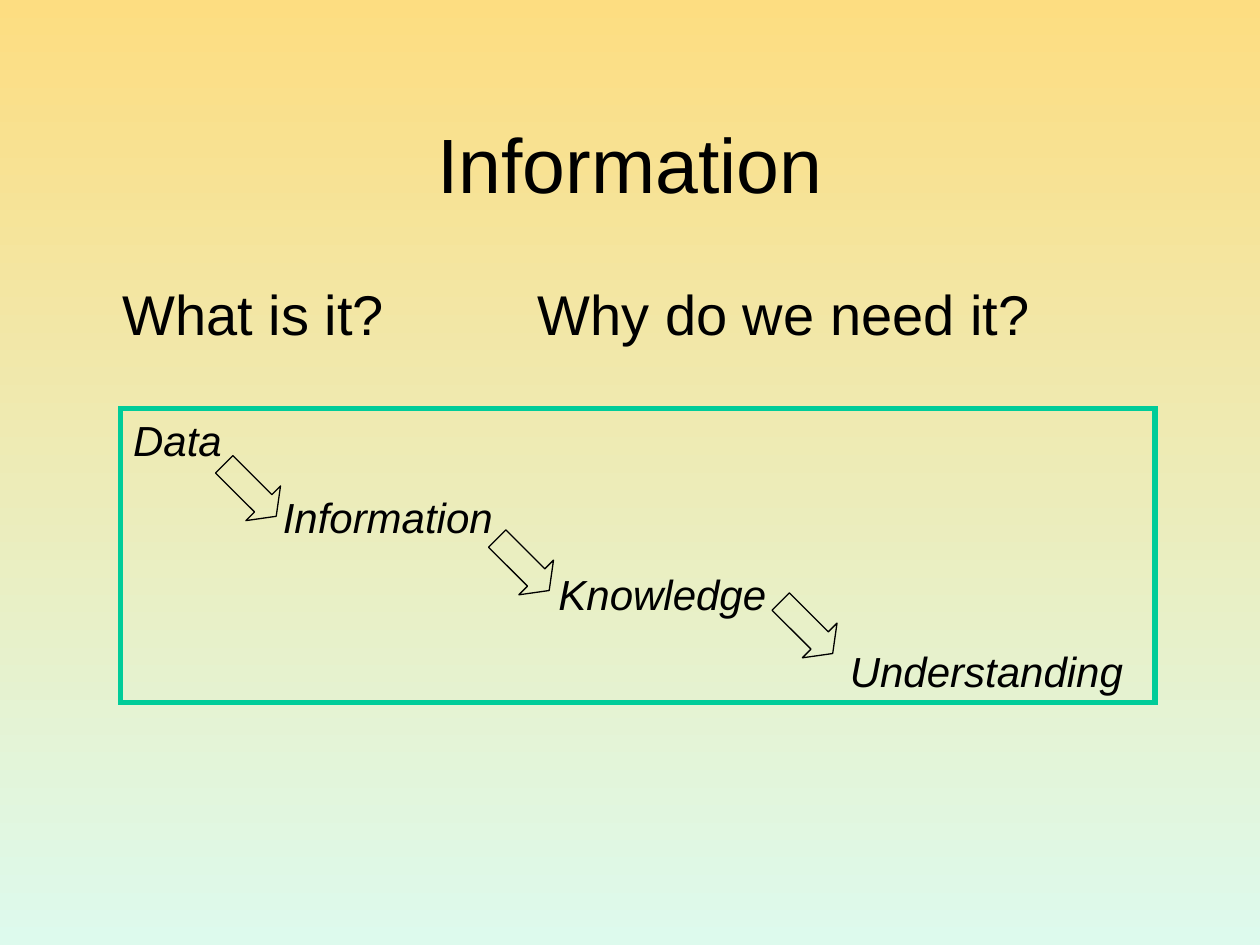
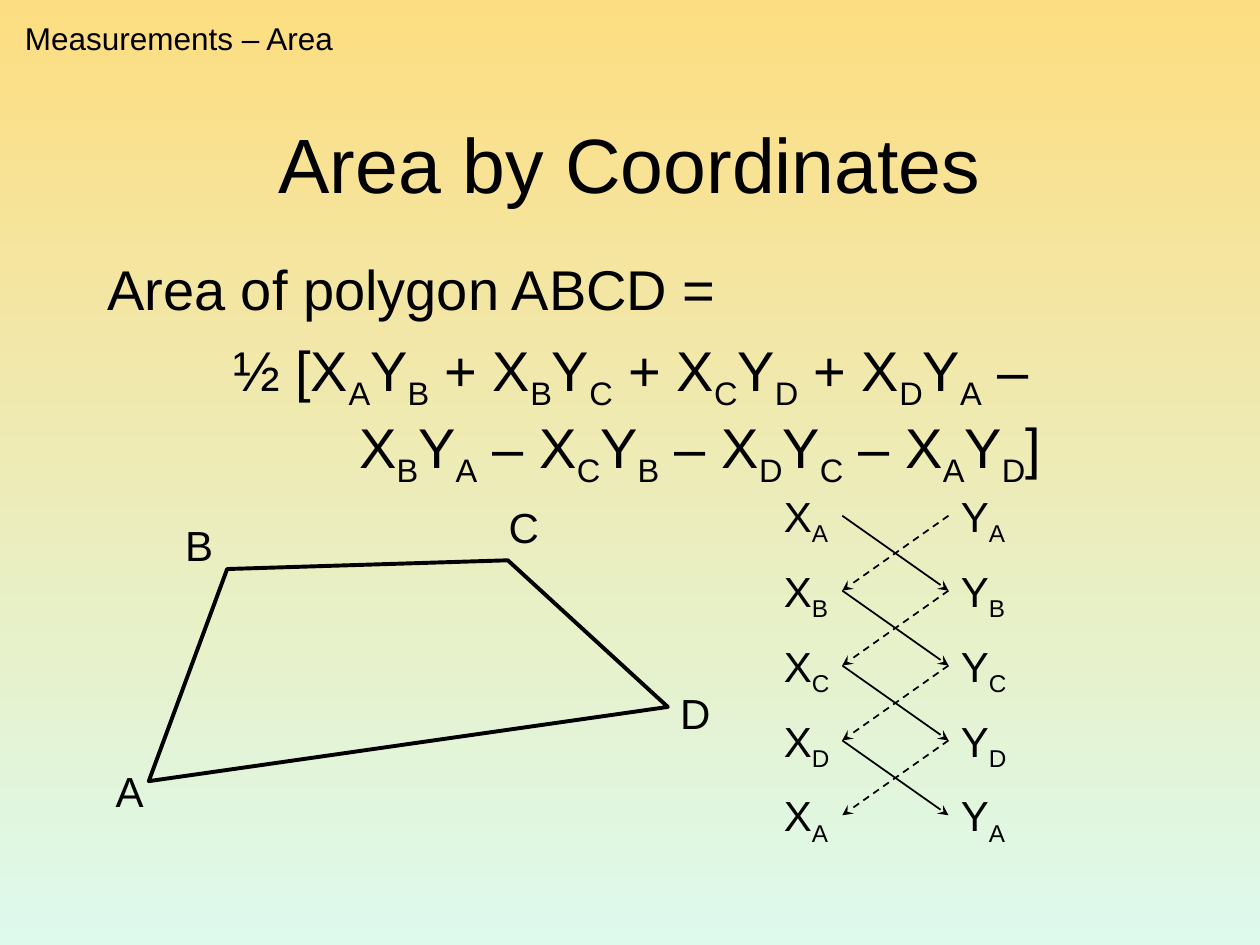
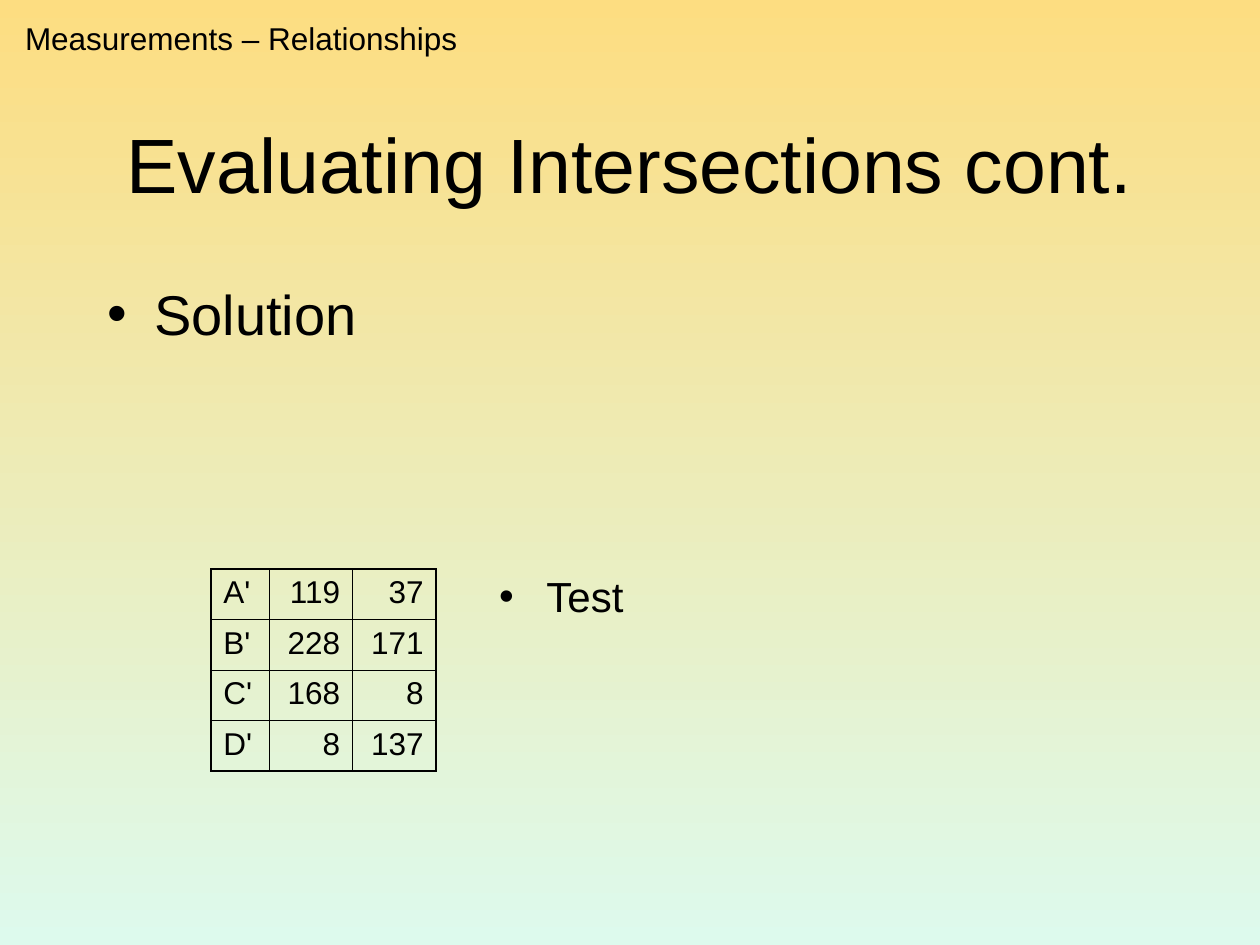
from pptx import Presentation
from pptx.dml.color import RGBColor
from pptx.enum.dml import MSO_LINE_DASH_STYLE as DASH
from pptx.enum.shapes import MSO_CONNECTOR, MSO_SHAPE
from pptx.enum.text import MSO_ANCHOR as ANCHOR, PP_ALIGN as ALIGN
from pptx.oxml.ns import qn
from pptx.util import Pt
from lxml.etree import SubElement

# Shared look
FONT, INK, GREEN = "Arial", "000000", "00CC99"
BACKGROUND = ("FDDD81", "DDFAED")
TITLE_BOX = (54, 48, 612, 90)
BODY_BOX = (54.2, 156, 612, 324)

# Slide 1 content
QUESTIONS = " What is it?\tWhy do we need it?"
QUESTION_TABS = [246]
STEPS = ["Data", "Information", "Knowledge", "Understanding"]
STEP_TABS = [85.5, 243, 409.5]
STEP_BOX = (69, 233.6, 591, 167.8)
STEP_ARROWS = [(129, 259.2), (285, 301.6), (447, 337.6)]

# Slide 2 content: an underscore lowers the letter after it
FORMULA = [
    ("Area of polygon ABCD =", 0, 0),
    ("½ [X_AY_B + X_BY_C + X_CY_D + X_DY_A –", 72, 8),
    ("X_BY_A – X_CY_B – X_DY_C – X_AY_D]", 144, 0),
]
CORNERS = [(85, 446.4), (129.8, 325.2), (290.2, 320.2), (381.6, 404)]
CORNER_LABELS = [("A", 59, 433.7, 30), ("B", 98.8, 293.3, 30),
                 ("C", 283.5, 283, 31.5), ("D", 381.6, 389.5, 31.5)]
POINTS = "ABCDA"
COLUMNS = {"X": 440.8, "Y": 542}
POINTS_TOP, POINT_STEP = 276.7, 42.8

# Slide 3 content
ROWS = [("A'", 119, 37), ("B'", 228, 171), ("C'", 168, 8), ("D'", 8, 137)]
COL_WIDTHS, ROW_HEIGHT = (33.4, 47.6, 47.8), 28.8
TABLE_AT = (120.5, 325.2)
OUTER, INNER = 1.08, 0.45


def rgb(value):
    return RGBColor.from_string(value)


def points(*values):
    return [Pt(v) for v in values]


def add_run(p, text, size, italic=False, low=False):
    r = p.add_run()
    r.text = text
    for name, value in dict(name=FONT, size=Pt(size), italic=italic).items():
        setattr(r.font, name, value)
    r.font.color.rgb = rgb(INK)
    if low:
        r._r.get_or_add_rPr().set("baseline", "-25000")


def write(p, text, size, italic=False, align=ALIGN.LEFT, before=0,
          margin=0, indent=0, bullet=False, tabs=()):
    """Fill a paragraph, lowering each letter that follows an underscore."""
    pPr = p._p.get_or_add_pPr()
    if not tabs:  # an explicit indent would reset the tab stops
        pPr.set("marL", str(Pt(margin)))
        pPr.set("indent", str(Pt(indent)))
    if bullet:
        SubElement(pPr, qn("a:buFont"), typeface=FONT)
        SubElement(pPr, qn("a:buChar"), char="•")
    else:
        SubElement(pPr, qn("a:buNone"))
    if tabs:
        tab_list = SubElement(pPr, qn("a:tabLst"))
        for pos in tabs:
            SubElement(tab_list, qn("a:tab"), pos=str(Pt(pos)), algn="l")
    p.alignment, p.space_before = align, Pt(before)
    first, *rest = text.split("_")
    add_run(p, first, size, italic)
    for part in rest:
        add_run(p, part[0], size, italic, low=True)
        if part[1:]:
            add_run(p, part[1:], size, italic)


def add_text(s, box, lines, size, wrap=True):
    """Add a text box; each line is a text and its paragraph format."""
    sp = s.shapes.add_textbox(*points(*box))
    fill_frame(sp.text_frame, lines, size, wrap)
    return sp


def fill_frame(tf, lines, size, wrap=True):
    tf.word_wrap, tf.vertical_anchor = wrap, ANCHOR.TOP
    for i, (text, fmt) in enumerate(lines):
        p = tf.add_paragraph() if i else tf.paragraphs[0]
        write(p, text, size, **fmt)


def add_label(s, text, box, size=24):
    return add_text(s, box, [(text, {})], size, wrap=False)


def outline(sp, color, width):
    sp.shadow.inherit = False
    sp.fill.background()
    sp.line.color.rgb = rgb(color)
    sp.line.width = Pt(width)


def add_slide(prs, title, header=None, header_width=0):
    s = prs.slides.add_slide(prs.slide_layouts[5])
    sp = s.shapes.title
    sp.left, sp.top, sp.width, sp.height = points(*TITLE_BOX)
    sp.text_frame.vertical_anchor = ANCHOR.MIDDLE
    write(sp.text_frame.paragraphs[0], title, 44, align=ALIGN.CENTER)
    if header:
        add_label(s, header, (7.2, 7.2, header_width, 28.8), 18)
    return s


def add_arrow(s, start, start_side, end, end_side, dashed=False):
    line = s.shapes.add_connector(MSO_CONNECTOR.STRAIGHT, 0, 0, 0, 0)
    line.begin_connect(start, start_side)
    line.end_connect(end, end_side)
    line.line.color.rgb = rgb(INK)
    line.line.width = Pt(1)
    if dashed:
        line.line.dash_style = DASH.DASH
    SubElement(line.line._get_or_add_ln(), qn("a:tailEnd"), type="stealth")
    SubElement(line._element.spPr, qn("a:effectLst"))


def set_borders(cell, widths):
    tcPr = cell._tc.get_or_add_tcPr()
    for i, (side, width) in enumerate(widths.items()):
        ln = SubElement(tcPr, qn(f"a:ln{side}"), w=str(Pt(width)))
        fill = SubElement(ln, qn("a:solidFill"))
        SubElement(fill, qn("a:srgbClr"), val=INK)
        tcPr.insert(i, ln)


def information_slide(prs):
    s = add_slide(prs, "Information")
    add_text(s, BODY_BOX, [(QUESTIONS, dict(tabs=QUESTION_TABS))], 32)

    # Steps, each one tab further in
    box = s.shapes.add_shape(MSO_SHAPE.RECTANGLE, *points(*STEP_BOX))
    outline(box, GREEN, 3)
    SubElement(box.line._get_or_add_ln(), qn("a:miter"), lim="800000")
    lines = [("\t" * i + step,
              dict(italic=True, before=15.2 if i else 0, tabs=STEP_TABS))
             for i, step in enumerate(STEPS)]
    fill_frame(box.text_frame, lines, 24)
    for left, top in STEP_ARROWS:
        arrow = s.shapes.add_shape(MSO_SHAPE.DOWN_ARROW,
                                   *points(left, top, 28, 42))
        arrow.adjustments[0], arrow.adjustments[1] = 0.5, 0.375
        arrow.rotation = 315
        outline(arrow, INK, 0.75)


def area_slide(prs):
    s = add_slide(prs, "Area by Coordinates", "Measurements – Area", 191.5)
    add_text(s, (54.2, 142, 612, 338),
             [(text, dict(margin=margin, before=before))
              for text, margin, before in FORMULA], 32)

    # Coordinate columns with crossing arrows
    xs, ys = [[add_label(s, f"{axis}_{point}",
                         (left, POINTS_TOP + i * POINT_STEP, 40.5, 36))
               for i, point in enumerate(POINTS)]
              for axis, left in COLUMNS.items()]
    for i in range(len(POINTS) - 1):
        add_arrow(s, xs[i], 3, ys[i + 1], 1)
        add_arrow(s, ys[i], 1, xs[i + 1], 3, dashed=True)

    # Polygon
    first, *others = [points(*corner) for corner in CORNERS]
    builder = s.shapes.build_freeform(*first)
    builder.add_line_segments(others, close=True)
    outline(builder.convert_to_shape(), INK, 2.25)
    for text, left, top, width in CORNER_LABELS:
        add_label(s, text, (left, top, width, 36))


def intersections_slide(prs):
    s = add_slide(prs, "Evaluating Intersections cont.",
                  "Measurements – Relationships", 261.5)
    bullet = dict(margin=27, indent=-27, bullet=True)
    add_text(s, BODY_BOX, [("Solution", bullet)], 32)
    add_text(s, (278.2, 322.5, 388, 154), [("Test", bullet)], 24)

    # Table
    n_rows, n_cols = len(ROWS), len(COL_WIDTHS)
    table = s.shapes.add_table(
        n_rows, n_cols,
        *points(*TABLE_AT, sum(COL_WIDTHS), n_rows * ROW_HEIGHT)).table
    table.first_row = table.horz_banding = False
    for col, width in zip(table.columns, COL_WIDTHS):
        col.width = Pt(width)
    for i, values in enumerate(ROWS):
        table.rows[i].height = Pt(ROW_HEIGHT)
        for j, value in enumerate(values):
            cell = table.cell(i, j)
            cell.fill.background()
            write(cell.text_frame.paragraphs[0], str(value), 18,
                  align=ALIGN.RIGHT if j else ALIGN.LEFT)
            edges = dict(L=j == 0, R=j == n_cols - 1,
                         T=i == 0, B=i == n_rows - 1)
            set_borders(cell, {side: OUTER if outer else INNER
                               for side, outer in edges.items()})


def main():
    prs = Presentation()
    prs.slide_width, prs.slide_height = points(720, 540)
    fill = prs.slide_master.background.fill
    fill.gradient()
    fill.gradient_angle = 270
    for stop, color in zip(fill.gradient_stops, BACKGROUND):
        stop.color.rgb = rgb(color)
    information_slide(prs)
    area_slide(prs)
    intersections_slide(prs)
    prs.save("out.pptx")


if __name__ == "__main__":
    main()
